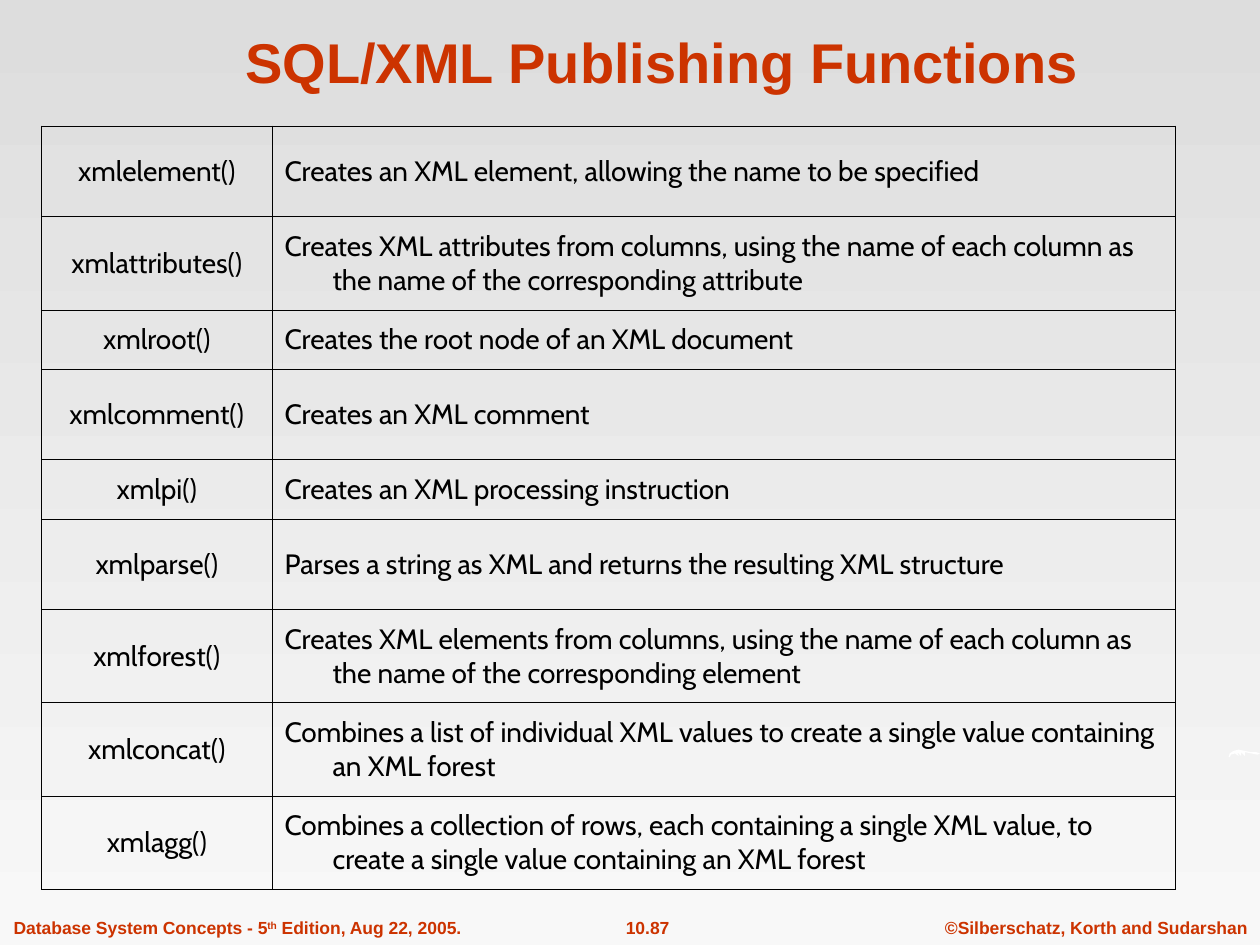
from lxml import etree
from pptx import Presentation
from pptx.dml.color import RGBColor
from pptx.enum.text import MSO_ANCHOR, MSO_AUTO_SIZE, PP_ALIGN
from pptx.oxml.ns import qn
from pptx.util import Inches, Pt

LEFT, CENTER = PP_ALIGN.LEFT, PP_ALIGN.CENTER
MIDDLE, BOTTOM = MSO_ANCHOR.MIDDLE, MSO_ANCHOR.BOTTOM
NO_FIT = MSO_AUTO_SIZE.NONE
RED = RGBColor(0xCC, 0x33, 0x00)
BLACK = RGBColor(0, 0, 0)
WHITE = RGBColor(0xFF, 0xFF, 0xFF)
BG_TOP = RGBColor(0xDD, 0xDD, 0xDD)
BG_BOTTOM = RGBColor(0xF8, 0xF8, 0xF8)

TALL, WRAPPED, SHORT = 0.72, 0.74, 0.47
COLUMNS = (1.83, 7.17)
FUNCTIONS = [
    (TALL, "xmlelement()", "Creates an XML element, allowing the name to be specified"),
    (WRAPPED, "xmlattributes()", "Creates XML attributes from columns, using the name of "
     "each column as the name of the corresponding attribute"),
    (SHORT, "xmlroot()", "Creates the root node of an XML document"),
    (TALL, "xmlcomment()", "Creates an XML comment"),
    (SHORT, "xmlpi()", "Creates an XML processing instruction"),
    (TALL, "xmlparse()", "Parses a string as XML and returns the resulting XML structure"),
    (WRAPPED, "xmlforest()", "Creates XML elements from columns, using the name of "
     "each column as the name of the corresponding element"),
    (WRAPPED, "xmlconcat()", "Combines a list of individual XML values to create "
     "a single value containing an XML forest"),
    (WRAPPED, "xmlagg()", "Combines a collection of rows, each containing a single XML "
     "value, to create a single value containing an XML forest"),
]
FOOTER_TOP, FOOTER_HEIGHT = 7.23, 0.27
FOOTERS = [
    (0.01, 3.76, LEFT, [("Database System Concepts - 5", 0), ("th", 30),
                        (" Edition, Aug 22, 2005.", 0)]),
    (4.61, 1.06, CENTER, [("10.87", 0)]),
    (7.4, 2.6, CENTER, [("©Silberschatz, Korth and Sudarshan", 0)]),
]
SWOOSH = [(975, 601), (976, 598), (979, 596), (983, 595), (988, 595.5),
          (993, 597), (997, 597), (1000, 598), (998, 599), (993, 598),
          (988, 597), (988, 600), (985, 597), (985, 600), (982, 597),
          (983, 600), (980, 598), (977, 599), (976, 601)]


def add_text(p, text, size=16, font="Arial", color=RED, bold=False, raised=0):
    """Add a formatted run, raised by a percentage for superscripts."""
    r = p.add_run()
    r.text = text
    r.font.size, r.font.name, r.font.bold = Pt(size), font, bold
    r.font.color.rgb = color
    if raised:
        r.font._element.set("baseline", str(raised * 1000))


def set_background(s):
    """Fill the slide with a vertical grey gradient."""
    fill = s.background.fill
    fill.gradient()
    fill.gradient_angle = 270
    for stop, color, position in zip(fill.gradient_stops, (BG_TOP, BG_BOTTOM), (0, 1)):
        stop.color.rgb = color
        stop.position = position


def add_title(s, text):
    """Place the title placeholder and fill it."""
    sp = s.shapes.title
    sp.left, sp.top, sp.width, sp.height = map(Inches, (0.84, 0.13, 8.83, 0.67))
    tf = sp.text_frame
    tf.auto_size, tf.vertical_anchor = NO_FIT, BOTTOM
    p = tf.paragraphs[0]
    p.alignment = CENTER
    add_text(p, text, size=32, bold=True)


def add_footer(s, left, width, align, runs):
    """Add one text box to the footer line."""
    sp = s.shapes.add_textbox(*map(Inches, (left, FOOTER_TOP, width, FOOTER_HEIGHT)))
    tf = sp.text_frame
    tf.word_wrap = False
    p = tf.paragraphs[0]
    p.alignment = align
    for text, raised in runs:
        add_text(p, text, size=10, bold=True, raised=raised)


def add_swoosh(s):
    """Draw the white stroke at the right edge, in hundredths of an inch."""
    builder = s.shapes.build_freeform(*SWOOSH[0], scale=Inches(0.01))
    builder.add_line_segments(SWOOSH[1:], close=True)
    sp = builder.convert_to_shape()
    sp.shadow.inherit = False
    sp.fill.solid()
    sp.fill.fore_color.rgb = WHITE
    sp.line.fill.background()


def set_borders(cell):
    """Give a cell thin black borders on all sides."""
    tcPr = cell._tc.get_or_add_tcPr()
    for side in ("a:lnL", "a:lnR", "a:lnT", "a:lnB"):
        ln = etree.SubElement(tcPr, qn(side), w=str(Pt(0.45)))
        fill = etree.SubElement(ln, qn("a:solidFill"))
        etree.SubElement(fill, qn("a:srgbClr"), val=str(BLACK))


def fill_cell(cell, text, align):
    """Format a clear, bordered cell with a hanging indent."""
    set_borders(cell)
    cell.fill.background()
    cell.vertical_anchor = MIDDLE
    p = cell.text_frame.paragraphs[0]
    p.alignment = align
    pPr = p._p.get_or_add_pPr()
    pPr.set("marL", str(Inches(0.38)))
    pPr.set("indent", str(-Inches(0.38)))
    add_text(p, text, font="Cabin", color=BLACK)


def add_function_table(s):
    """Add the table of functions and their descriptions."""
    height = sum(row[0] for row in FUNCTIONS)
    frame = s.shapes.add_table(len(FUNCTIONS), len(COLUMNS), Inches(0.33), Inches(1),
                               Inches(sum(COLUMNS)), Inches(height))
    table = frame.table
    table.first_row = table.horz_banding = False
    for column, width in zip(table.columns, COLUMNS):
        column.width = Inches(width)
    for row, (row_height, name, description) in zip(table.rows, FUNCTIONS):
        row.height = Inches(row_height)
        fill_cell(row.cells[0], name, CENTER)
        fill_cell(row.cells[1], description, LEFT)


def main():
    """Build the slide and save it."""
    prs = Presentation()
    prs.slide_width, prs.slide_height = Inches(10), Inches(7.5)
    s = prs.slides.add_slide(prs.slide_layouts[5])
    set_background(s)
    for footer in FOOTERS:
        add_footer(s, *footer)
    add_swoosh(s)
    add_title(s, "SQL/XML Publishing Functions")
    add_function_table(s)
    prs.save("out.pptx")


if __name__ == "__main__":
    main()
